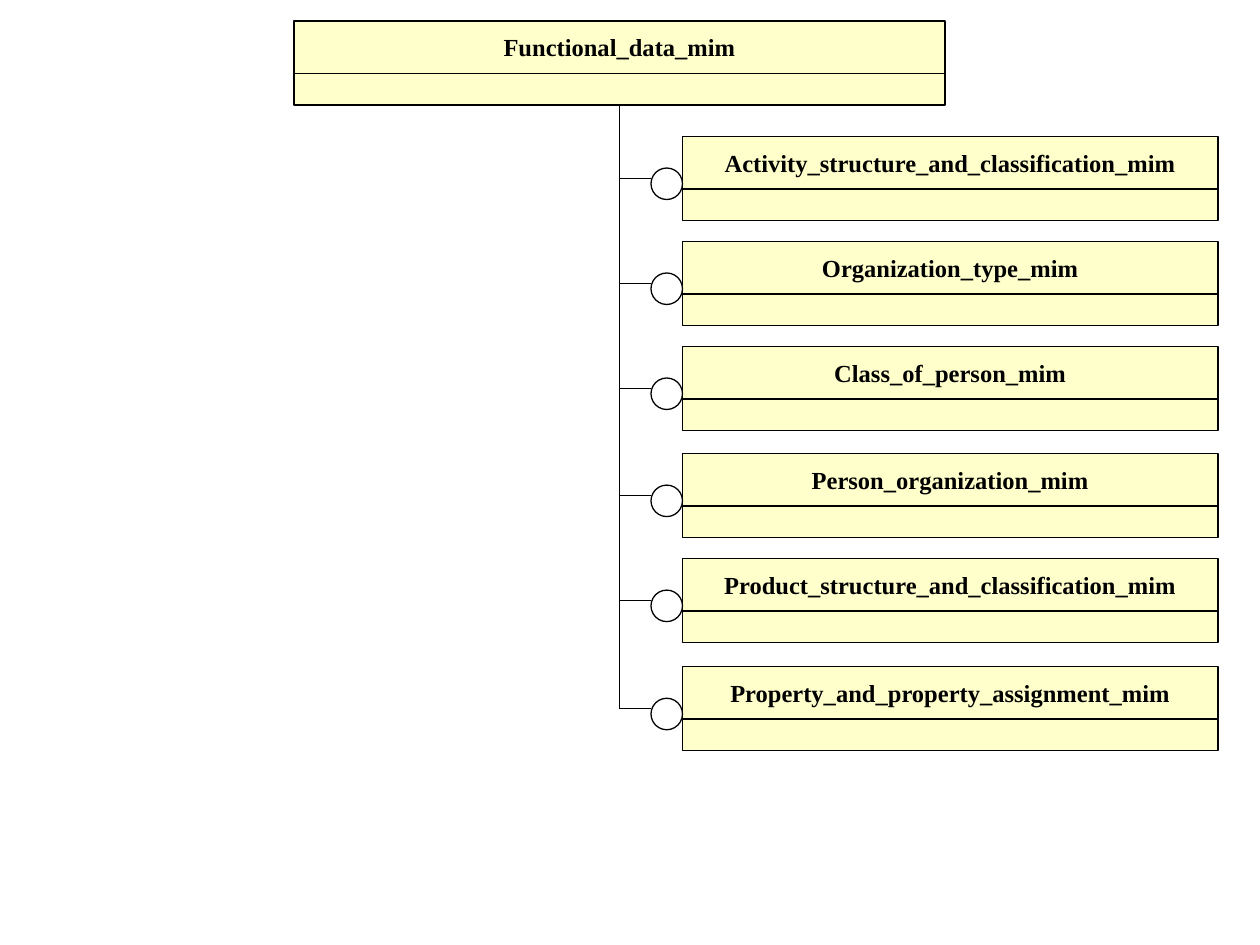
"""Builds a class diagram of the modules used by Functional_data_mim."""
from lxml.etree import SubElement
from pptx import Presentation
from pptx.dml.color import RGBColor
from pptx.enum.shapes import MSO_CONNECTOR, MSO_SHAPE
from pptx.enum.text import MSO_ANCHOR, PP_ALIGN
from pptx.oxml.ns import qn
from pptx.util import Inches, Pt

ROOT = "Functional_data_mim"
MODULES = [
    ("Activity_structure_and_classification_mim", 130),
    ("Organization_type_mim", 230),
    ("Class_of_person_mim", 330),
    ("Person_organization_mim", 432),
    ("Product_structure_and_classification_mim", 532),
    ("Property_and_property_assignment_mim", 635),
]

PX = Inches(1) // 120
SLIDE_W, SLIDE_H = 1200, 900
ROOT_LEFT, ROOT_TOP, ROOT_W = 280, 20, 620
MODULE_LEFT, MODULE_W = 650, 510
NAME_H, BODY_H = 50, 30
CIRCLE = 30
STUB_DROP, CIRCLE_DROP = 40, 30

CREAM = RGBColor(0xFF, 0xFF, 0xCC)
WHITE = RGBColor(0xFF, 0xFF, 0xFF)
BLACK = RGBColor(0x00, 0x00, 0x00)
LINE_W = Pt(0.75)


def add_outlined(shapes, kind, left, top, width, height, fill):
    outlined = shapes.add_shape(kind, left * PX, top * PX, width * PX, height * PX)
    outlined.shadow.inherit = False
    outlined.fill.solid()
    outlined.fill.fore_color.rgb = fill
    outlined.line.color.rgb = BLACK
    outlined.line.width = LINE_W
    return outlined


def write_text(holder, text, *, size=14, font="Times New Roman", color=BLACK,
               bold=True, align=PP_ALIGN.CENTER):
    frame = holder.text_frame
    frame.word_wrap = False
    frame.vertical_anchor = MSO_ANCHOR.MIDDLE
    paragraph = frame.paragraphs[0]
    paragraph.alignment = align
    run = paragraph.add_run()
    run.text = text
    run.font.size = Pt(size)
    run.font.name = font
    run.font.bold = bold
    run.font.color.rgb = color


def add_class(slide, name, left, top, width):
    members = slide.shapes.add_group_shape().shapes
    heading = add_outlined(members, MSO_SHAPE.RECTANGLE, left, top, width, NAME_H, CREAM)
    write_text(heading, name)
    add_outlined(members, MSO_SHAPE.RECTANGLE, left, top + NAME_H, width, BODY_H, CREAM)


def add_line(slide, x1, y1, x2, y2):
    line = slide.shapes.add_connector(
        MSO_CONNECTOR.STRAIGHT, x1 * PX, y1 * PX, x2 * PX, y2 * PX)
    line.line.color.rgb = BLACK
    line.line.width = LINE_W
    SubElement(line._element.spPr, qn("a:effectLst"))


def main():
    deck = Presentation()
    deck.slide_width, deck.slide_height = SLIDE_W * PX, SLIDE_H * PX
    slide = deck.slides.add_slide(deck.slide_layouts[6])

    add_class(slide, ROOT, ROOT_LEFT, ROOT_TOP, ROOT_W)
    trunk_x = ROOT_LEFT + ROOT_W // 2
    last_top = MODULES[-1][1]
    add_line(slide, trunk_x, last_top + STUB_DROP, trunk_x, ROOT_TOP + NAME_H + BODY_H)

    circle_left = MODULE_LEFT - CIRCLE
    for name, top in MODULES:
        add_class(slide, name, MODULE_LEFT, top, MODULE_W)
        add_outlined(slide.shapes, MSO_SHAPE.OVAL, circle_left, top + CIRCLE_DROP,
                     CIRCLE, CIRCLE, WHITE)
        add_line(slide, trunk_x, top + STUB_DROP, circle_left, top + STUB_DROP)

    deck.save("out.pptx")


if __name__ == "__main__":
    main()
